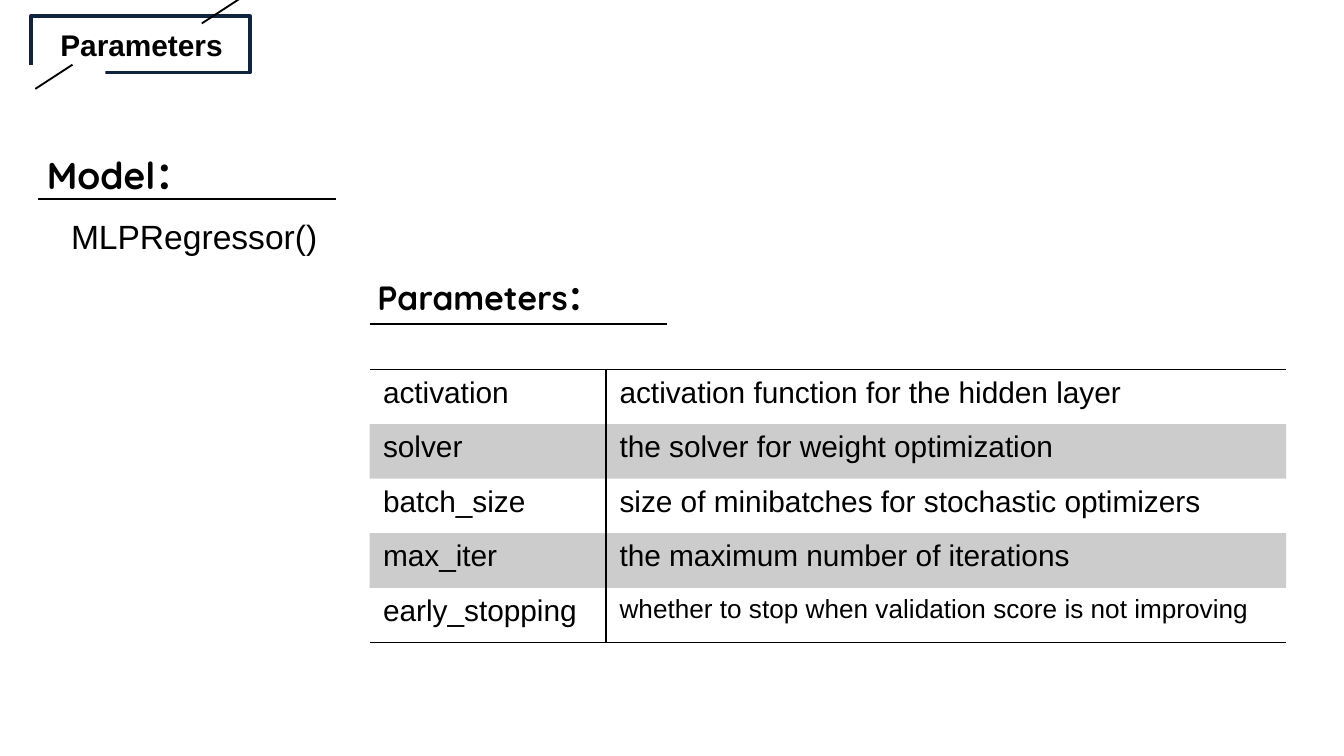
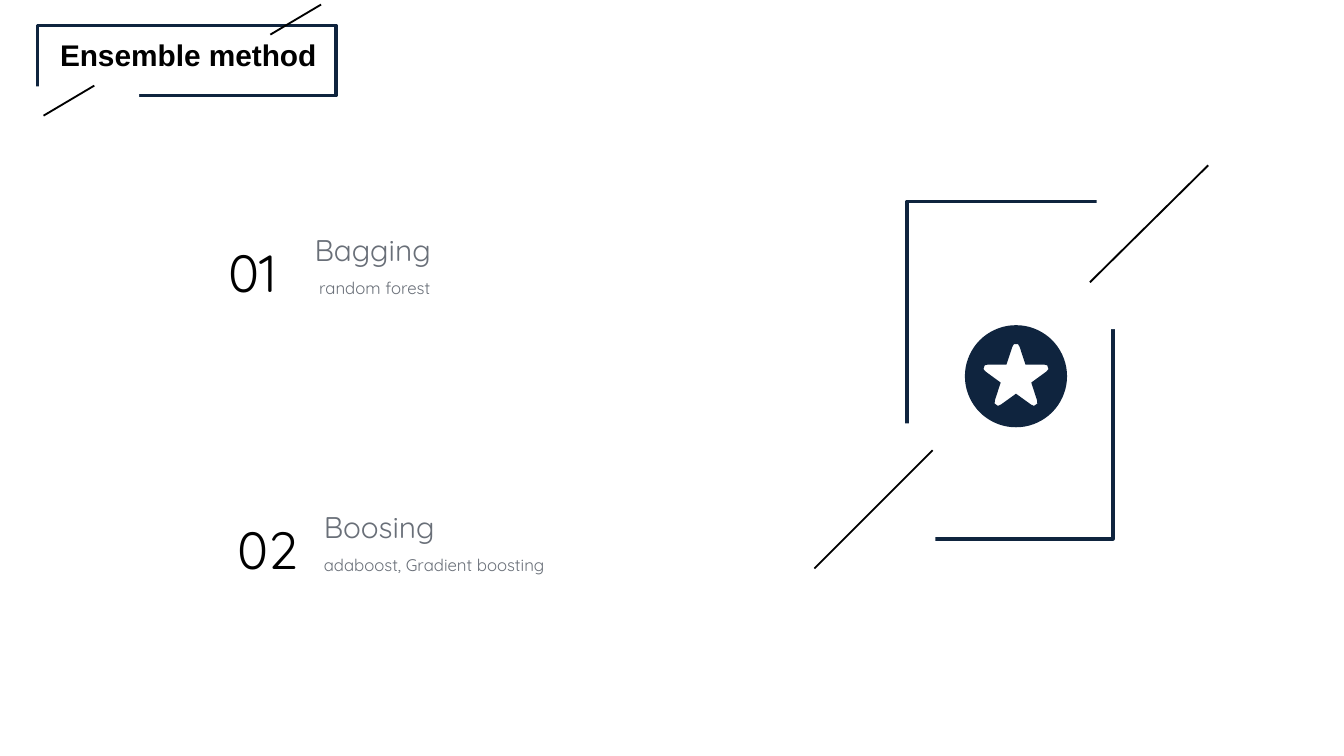
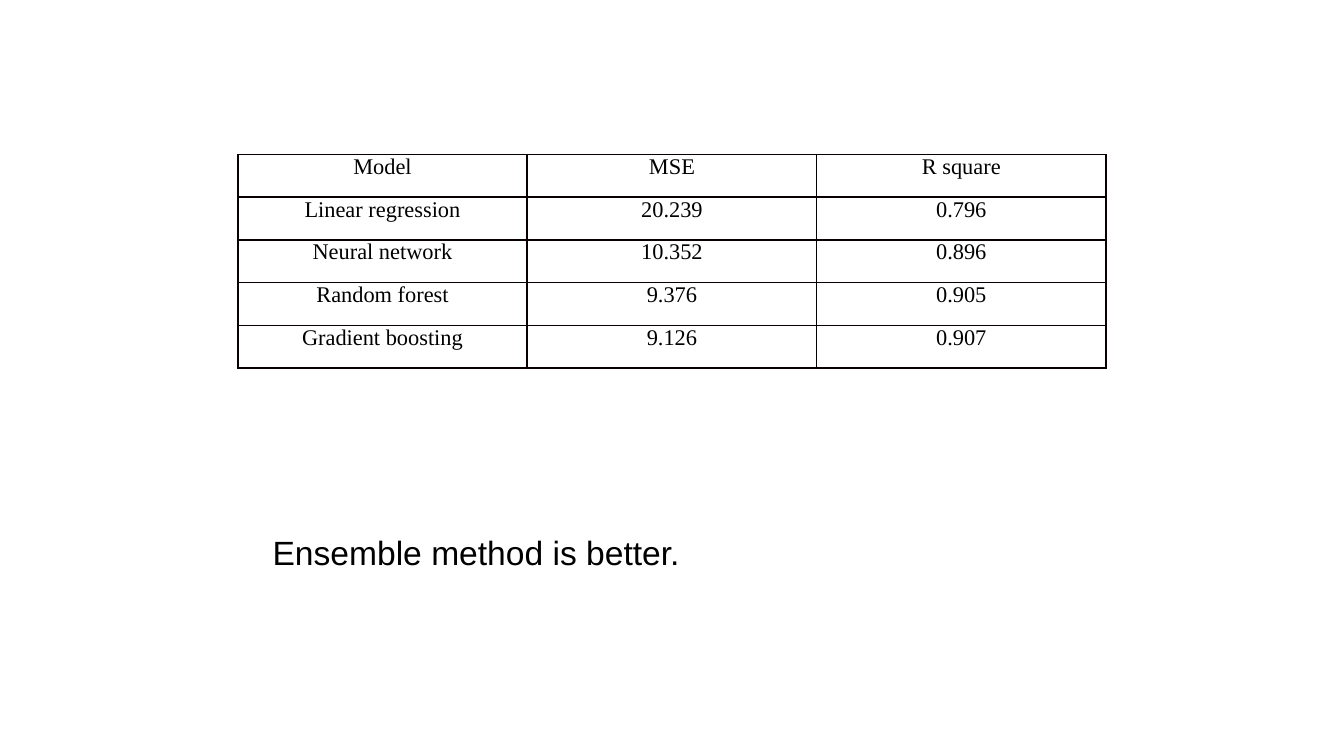
"""Build three slides on model parameters, ensemble methods and results."""
from math import cos, pi, sin

from lxml import etree
from pptx import Presentation
from pptx.dml.color import RGBColor
from pptx.enum.shapes import MSO_CONNECTOR, MSO_SHAPE
from pptx.enum.text import MSO_AUTO_SIZE, PP_ALIGN
from pptx.oxml.ns import qn
from pptx.util import Inches, Pt

RECT = MSO_SHAPE.RECTANGLE
LINE = MSO_CONNECTOR.STRAIGHT
GROW = MSO_AUTO_SIZE.SHAPE_TO_FIT_TEXT
LEFT, MID = PP_ALIGN.LEFT, PP_ALIGN.CENTER
SANS, ROUND, SERIF = "Arial", "Quicksand", "Times New Roman"
PLAIN = "{2D5ABB26-0587-4C30-8999-92F81FD0307C}"
WIDE = Inches(10)
HIGH = WIDE * 9 // 16
COLORS = {"ink": "000000", "navy": "0F243E", "gray": "696F78",
          "paper": "FFFFFF", "grid": "080000"}

PARAMS = [
    ("activation", "activation function for the hidden layer"),
    ("solver", "the solver for weight optimization"),
    ("batch_size", "size of minibatches for stochastic optimizers"),
    ("max_iter", "the maximum number of iterations"),
    ("early_stopping", "whether to stop when validation score is not improving"),
]
SCORES = [
    ("Model", "MSE", "R square"),
    ("Linear regression", "20.239", "0.796"),
    ("Neural network", "10.352", "0.896"),
    ("Random forest", "9.376", "0.905"),
    ("Gradient boosting", "9.126", "0.907"),
]


def rgb(name):
    """Return the named colour."""
    return RGBColor.from_string(COLORS[name])


def style(para, size, font, color="ink", bold=False, align=LEFT):
    """Format a paragraph and its runs."""
    para.alignment = align
    for run in para.runs:
        run.font.size, run.font.name, run.font.bold = Pt(size), font, bold
        run.font.color.rgb = rgb(color)


def write(slide, text, box, sizes, font, color="ink", bold=False, align=LEFT,
          wrap=True, inset=True, space=None):
    """Add a text box with one size for each paragraph."""
    shape = slide.shapes.add_textbox(*map(Inches, box))
    frame = shape.text_frame
    frame.text = text
    frame.word_wrap, frame.auto_size = wrap, GROW
    if not inset:
        frame.margin_left = frame.margin_right = 0
        frame.margin_top = frame.margin_bottom = 0
    for para, size in zip(frame.paragraphs, sizes):
        style(para, size, font, color, bold, align)
        if space:
            para.line_spacing = space
    return shape


def rule(slide, start, end, width=1):
    """Draw a thin line between two points."""
    line = slide.shapes.add_connector(LINE, *map(Inches, (*start, *end)))
    line.line.color.rgb, line.line.width = rgb("ink"), Pt(width)
    etree.SubElement(line._element.spPr, qn("a:effectLst"))


def frame_box(slide, box, masks, dashes):
    """Draw an outline broken by masks and crossed by dashes."""
    x, y = box[:2]
    edge = slide.shapes.add_shape(RECT, *map(Inches, box))
    edge.shadow.inherit = False
    edge.fill.background()
    edge.line.color.rgb, edge.line.width = rgb("navy"), Pt(2)
    for dx, dy, w, h in masks:
        mask = slide.shapes.add_shape(RECT, *map(Inches, (x + dx, y + dy, w, h)))
        mask.shadow.inherit = False
        mask.fill.solid()
        mask.fill.fore_color.rgb = rgb("paper")
        mask.line.fill.background()
    for ax, ay, bx, by in dashes:
        rule(slide, (x + ax, y + ay), (x + bx, y + by))


def title(slide, text, box):
    """Draw the slide title in its broken frame."""
    x, y, w, h = box
    parts = [(-.14, .87, .48, .19), (.95, -.3, .78, .13), (.19, .86, .02, 1.29)]
    mask, *dashes = [(a * w, b * h, c * w, d * h) for a, b, c, d in parts]
    frame_box(slide, box, [mask], dashes)
    write(slide, text, (x - .17 * w, y + .07 * h, 1.35 * w, .37), [16], SANS,
          bold=True, align=MID)


def heading(slide, text, x, y, size, indent):
    """Write a bold heading with a rule below it."""
    write(slide, text, (x, y, 2.47, .02 * size + .04), [size], ROUND, bold=True)
    rule(slide, (x + indent, y + .4), (x + 2.25, y + .4), .75)


def border(cell, sides, color):
    """Draw the listed sides of a cell, in L, R, T, B order."""
    props = cell._tc.get_or_add_tcPr()
    for side in sides:
        line = etree.SubElement(props, qn("a:ln" + side), w=str(Pt(1)))
        fill = etree.SubElement(line, qn("a:solidFill"))
        etree.SubElement(fill, qn("a:srgbClr"), val=COLORS[color])


def grid(slide, rows, box, widths):
    """Add an unstyled table and return it."""
    shape = slide.shapes.add_table(len(rows), len(widths), *map(Inches, box))
    table = shape.table
    table.first_row = table.horz_banding = False
    table._tbl.tblPr.find(qn("a:tableStyleId")).text = PLAIN
    for col, width in zip(table.columns, widths):
        col.width = Inches(width)
    for row, words in zip(table.rows, rows):
        row.height = Inches(box[3] / len(rows))
        for cell, word in zip(row.cells, words):
            cell.text = word
    return table


def param_table(slide, box):
    """Fill the table of parameters, with every second row shaded."""
    table = grid(slide, PARAMS, box, (1.76, 5.06))
    last = len(PARAMS) - 1
    for r, row in enumerate(table.rows):
        for c, cell in enumerate(row.cells):
            style(cell.text_frame.paragraphs[0], 14 if r == last and c else 16, SANS)
            edge = {0: "T", last: "B"}.get(r, "")
            border(cell, ("L" if c else "R") + edge, "ink")
            if r % 2:
                cell.fill.solid()
                cell.fill.fore_color.rgb = rgb("ink")
                tint = cell._tc.tcPr.find(qn("a:solidFill"))[0]
                etree.SubElement(tint, qn("a:alpha"), val="20000")
            else:
                cell.fill.background()


def score_table(slide, box):
    """Fill the fully ruled table of scores."""
    table = grid(slide, SCORES, box, [box[2] / 3] * 3)
    for cell in table.iter_cells():
        style(cell.text_frame.paragraphs[0], 12, SERIF, align=MID)
        cell.margin_left = cell.margin_right = Inches(.07)
        cell.margin_top = cell.margin_bottom = 0
        border(cell, "LRTB", "grid")
        cell.fill.background()


def method(slide, x, y, number, text, size):
    """Write a numbered method with its examples."""
    write(slide, text, (x + .74, y, *size), (16, 9), ROUND, "gray",
          wrap=False, inset=False, space=1.5)
    write(slide, number, (x, y + .15, .74, .57), [28], ROUND)


def ring(x, y, polar):
    """Turn angle and radius pairs, clockwise from the top, into points."""
    return [(Inches(x + r * sin(a)), Inches(y - r * cos(a))) for a, r in polar]


def badge(slide, x, y):
    """Draw a disc centred on a point, with a star cut out of it."""
    disc = ring(x, y, [(2 * pi * i / 72, .38) for i in range(72)])
    star = ring(x, y + .01, [
        (2 * pi * i / 5 + turn, r) for i in range(5)
        for turn, r in ((-.12, .23), (-.06, .25), (.06, .25), (.12, .23), (pi / 5, .12))])
    pen = slide.shapes.build_freeform(*disc[0], scale=1.0)
    pen.add_line_segments(disc[1:])
    pen.move_to(*star[0])
    pen.add_line_segments(star[1:])
    shape = pen.convert_to_shape()
    shape.shadow.inherit = False
    shape.fill.solid()
    shape.fill.fore_color.rgb = rgb("navy")
    shape.line.fill.background()


def emblem(slide, box):
    """Draw the large broken frame around the star badge."""
    x, y = box[:2]
    frame_box(slide, box, [(1.41, -.27, .31, 1.22), (-.1, 1.65, .31, 1.22)],
              [(2.24, -.27, 1.36, .6), (.19, 1.85, -.69, 2.73)])
    badge(slide, x + .81, y + 1.3)


def param_slide(slide):
    """Show the model and its parameters."""
    title(slide, "Parameters", (.23, .12, 1.63, .42))
    heading(slide, "Model：", .25, 1.08, 20, .03)
    name = write(slide, "MLPRegressor()", (.25, 1.55, 2.39, .36), [18], SANS,
                 align=MID, inset=False, space=1.2)
    name.text_frame.paragraphs[0].space_before = Pt(3.6)
    heading(slide, "Parameters：", 2.71, 2.01, 18, .04)
    param_table(slide, (2.75, 2.75, 6.82, 2.03))


def method_slide(slide):
    """Show the two ensemble methods."""
    title(slide, "Ensemble method", (.28, .19, 2.22, .52))
    method(slide, 1.6, 1.59, "01", "Bagging\n random forest", (.91, .86))
    method(slide, 1.67, 3.65, "02", "Boosing\nadaboost, Gradient boosting", (1.77, .63))
    emblem(slide, (6.75, 1.5, 1.53, 2.51))


def score_slide(slide):
    """Compare the scores of the models."""
    score_table(slide, (1.77, 1.15, 6.46, 1.59))
    write(slide, "Ensemble method is better.", (1.93, 3.91, 3.23, .4), [18], SANS,
          wrap=False)


def main():
    """Build and save the deck."""
    deck = Presentation()
    deck.slide_width, deck.slide_height = WIDE, HIGH
    for build in (param_slide, method_slide, score_slide):
        build(deck.slides.add_slide(deck.slide_layouts[6]))
    deck.save("out.pptx")


if __name__ == "__main__":
    main()
